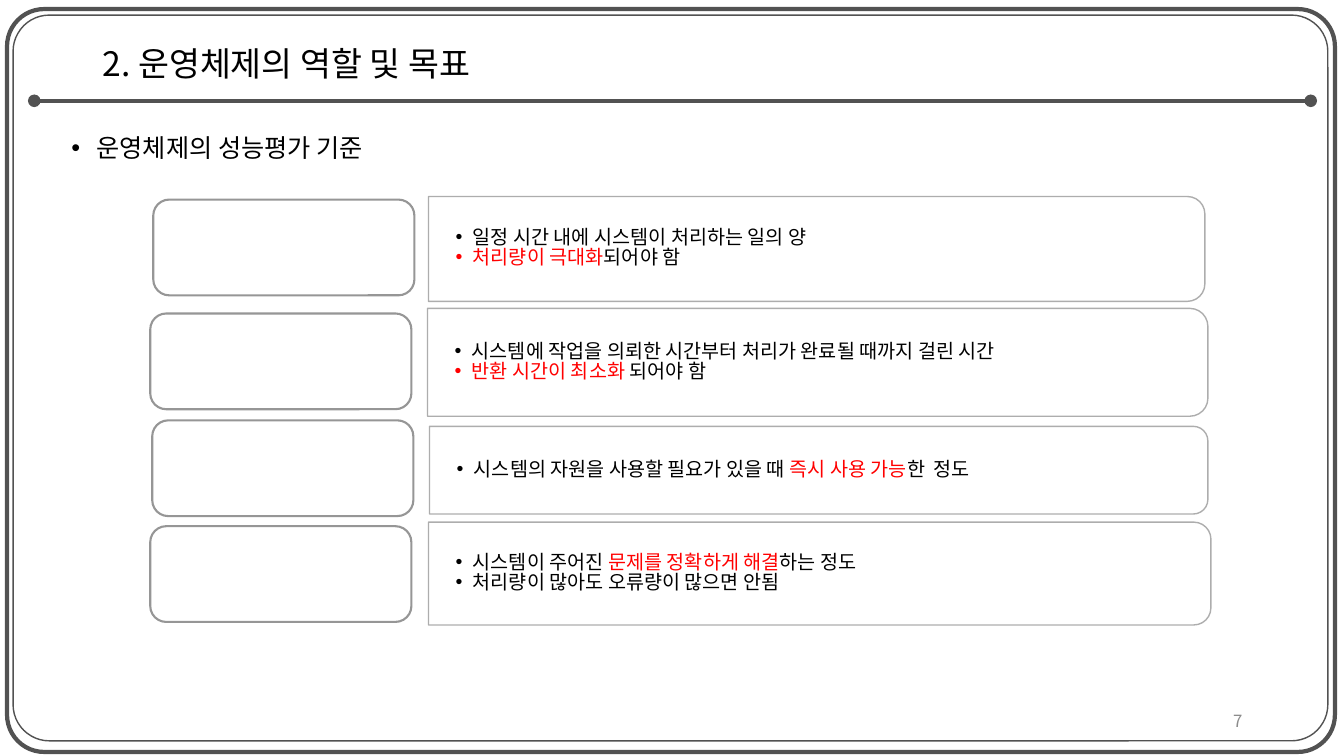
from dataclasses import dataclass

from lxml import etree
from pptx import Presentation
from pptx.dml.color import RGBColor
from pptx.enum.shapes import MSO_CONNECTOR, MSO_SHAPE
from pptx.enum.text import MSO_ANCHOR, PP_ALIGN
from pptx.oxml.ns import qn
from pptx.util import Inches, Pt

ROUND = MSO_SHAPE.ROUNDED_RECTANGLE
TAB = MSO_SHAPE.ROUND_2_SAME_RECTANGLE
LINE = MSO_CONNECTOR.STRAIGHT
TOP, MIDDLE = MSO_ANCHOR.TOP, MSO_ANCHOR.MIDDLE
LEFT, RIGHT = PP_ALIGN.LEFT, PP_ALIGN.RIGHT


@dataclass(frozen=True)
class Theme:
    font: str = "Noto Sans CJK KR"
    ink: str = "000000"
    hot: str = "FF0000"
    frame: str = "525252"
    panel: str = "A5A5A5"
    card: str = "969696"
    page: str = "8C8C8C"
    white: str = "FFFFFF"
    title: int = 24
    head: int = 18
    body: int = 14
    small: int = 12


@dataclass(frozen=True)
class Box:
    x: float
    y: float
    w: float
    h: float


@dataclass(frozen=True)
class Style:
    size: int
    color: str = "000000"
    anchor: MSO_ANCHOR = MIDDLE
    align: PP_ALIGN = LEFT
    indent: float = 0
    inset: tuple[float, float] = (0.1, 0.05)
    pitch: float = 0.9


@dataclass(frozen=True)
class Row:
    panel: Box
    card: Box
    lines: tuple[str, ...]


THEME = Theme()
MARK = "|"
CARD_W, CARD_H = 2.59, 0.95
BODY = Style(THEME.body, indent=0.17, inset=(0.27, 0.14), pitch=0.85)
FRAMES = (
    (Box(0.13, 0.15, 13.04, 7.2), 1),
    (Box(0.07, 0.09, 13.17, 7.37), 3),
)
ROWS = (
    Row(Box(4.25, 1.95, 7.7, 1.04), Box(1.52, 1.98, CARD_W, CARD_H),
        ("일정 시간 내에 시스템이 처리하는 일의 양",
         "|처리량이 극대화|되어야 함")),
    Row(Box(4.24, 3.06, 7.74, 1.07), Box(1.49, 3.11, CARD_W, CARD_H),
        ("시스템에 작업을 의뢰한 시간부터 처리가 완료될 때까지 걸린 시간",
         "|반환 시간이 최소화| 되어야 함")),
    Row(Box(4.26, 4.23, 7.72, 0.87), Box(1.51, 4.17, CARD_W, CARD_H),
        ("시스템의 자원을 사용할 필요가 있을 때 |즉시 사용 가능|한  정도",)),
    Row(Box(4.25, 5.18, 7.76, 1.02), Box(1.49, 5.22, CARD_W, CARD_H),
        ("시스템이 주어진| 문제를 정확하게 해결|하는 정도",
         "처리량이 많아도 오류량이 많으면 안됨")),
)


def add_shape(slide, kind, box: Box, color: str, width: float, fill: str | None = None):
    shape = slide.shapes.add_shape(
        kind, Inches(box.x), Inches(box.y), Inches(box.w), Inches(box.h))
    shape.shadow.inherit = False
    if fill:
        shape.fill.solid()
        shape.fill.fore_color.rgb = RGBColor.from_string(fill)
    else:
        shape.fill.background()
    shape.line.color.rgb = RGBColor.from_string(color)
    shape.line.width = Pt(width)
    return shape


def add_panel(slide, box: Box) -> None:
    turned = Box(box.x + (box.w - box.h) / 2, box.y + (box.h - box.w) / 2, box.h, box.w)
    shape = add_shape(slide, TAB, turned, THEME.panel, 1, THEME.white)
    shape.rotation = 90
    for color in shape._element.spPr.iter(qn("a:srgbClr")):
        etree.SubElement(color, qn("a:alpha"), val="90000")


def add_rule(slide) -> None:
    rule = slide.shapes.add_connector(LINE, Inches(0.34), Inches(1), Inches(13), Inches(1))
    rule.line.color.rgb = RGBColor.from_string(THEME.frame)
    rule.line.width = Pt(3)
    line = rule.line._get_or_add_ln()
    for end in ("a:headEnd", "a:tailEnd"):
        etree.SubElement(line, qn(end), type="oval")
    etree.SubElement(rule._element.spPr, qn("a:effectLst"))


def add_bullet(para, indent: float) -> None:
    props = para._p.get_or_add_pPr()
    props.set("marL", str(Inches(indent)))
    props.set("indent", str(-Inches(indent)))
    etree.SubElement(props, qn("a:buFont"), typeface="Arial")
    etree.SubElement(props, qn("a:buChar"), char="•")


def add_text(slide, box: Box, lines: tuple[str, ...], style: Style) -> None:
    shape = slide.shapes.add_textbox(
        Inches(box.x), Inches(box.y), Inches(box.w), Inches(box.h))
    frame = shape.text_frame
    frame.word_wrap = True
    frame.vertical_anchor = style.anchor
    side, edge = style.inset
    frame.margin_left = frame.margin_right = Inches(side)
    frame.margin_top = frame.margin_bottom = Inches(edge)
    frame.text = "\n".join(lines)
    for para in frame.paragraphs:
        parts = para.text.split(MARK)
        para.text = ""
        if style.indent:
            add_bullet(para, style.indent)
        para.alignment = style.align
        para.line_spacing = style.pitch
        for spot, part in enumerate(parts):
            if not part:
                continue
            run = para.add_run()
            run.text = part
            run.font.size = Pt(style.size)
            run.font.name = THEME.font
            color = THEME.hot if spot % 2 else style.color
            run.font.color.rgb = RGBColor.from_string(color)
            etree.SubElement(run.font._element, qn("a:ea"), typeface=THEME.font)


def main() -> None:
    deck = Presentation()
    deck.slide_width, deck.slide_height = Inches(13.33), Inches(7.5)
    slide = deck.slides.add_slide(deck.slide_layouts[6])
    for box, width in FRAMES:
        frame = add_shape(slide, ROUND, box, THEME.frame, width)
        frame.adjustments[0] = 0.05
    add_rule(slide)
    add_text(slide, Box(0.92, 0.3, 11.5, 0.7), ("2. 운영체제의 역할 및 목표",),
             Style(THEME.title, THEME.ink))
    add_text(slide, Box(0.61, 1.3, 12.11, 0.5), ("운영체제의 성능평가 기준",),
             Style(THEME.head, THEME.ink, TOP, indent=0.25))
    for row in ROWS:
        add_panel(slide, row.panel)
        add_text(slide, row.panel, row.lines, BODY)
        add_shape(slide, ROUND, row.card, THEME.card, 1.5, THEME.white)
    add_text(slide, Box(9.42, 6.95, 3, 0.4), ("7",),
             Style(THEME.small, THEME.page, align=RIGHT, pitch=1.0))
    deck.save("out.pptx")


if __name__ == "__main__":
    main()
